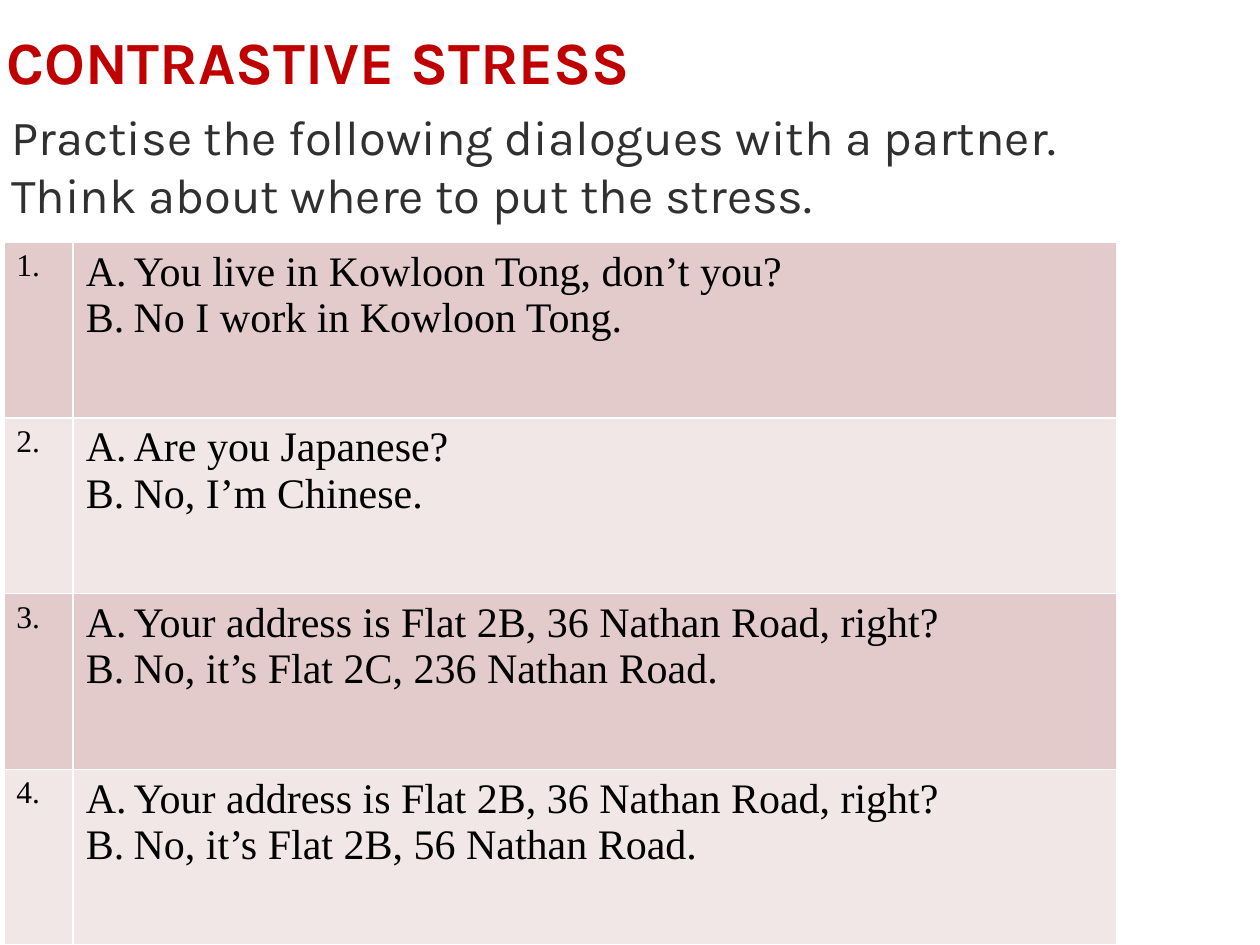
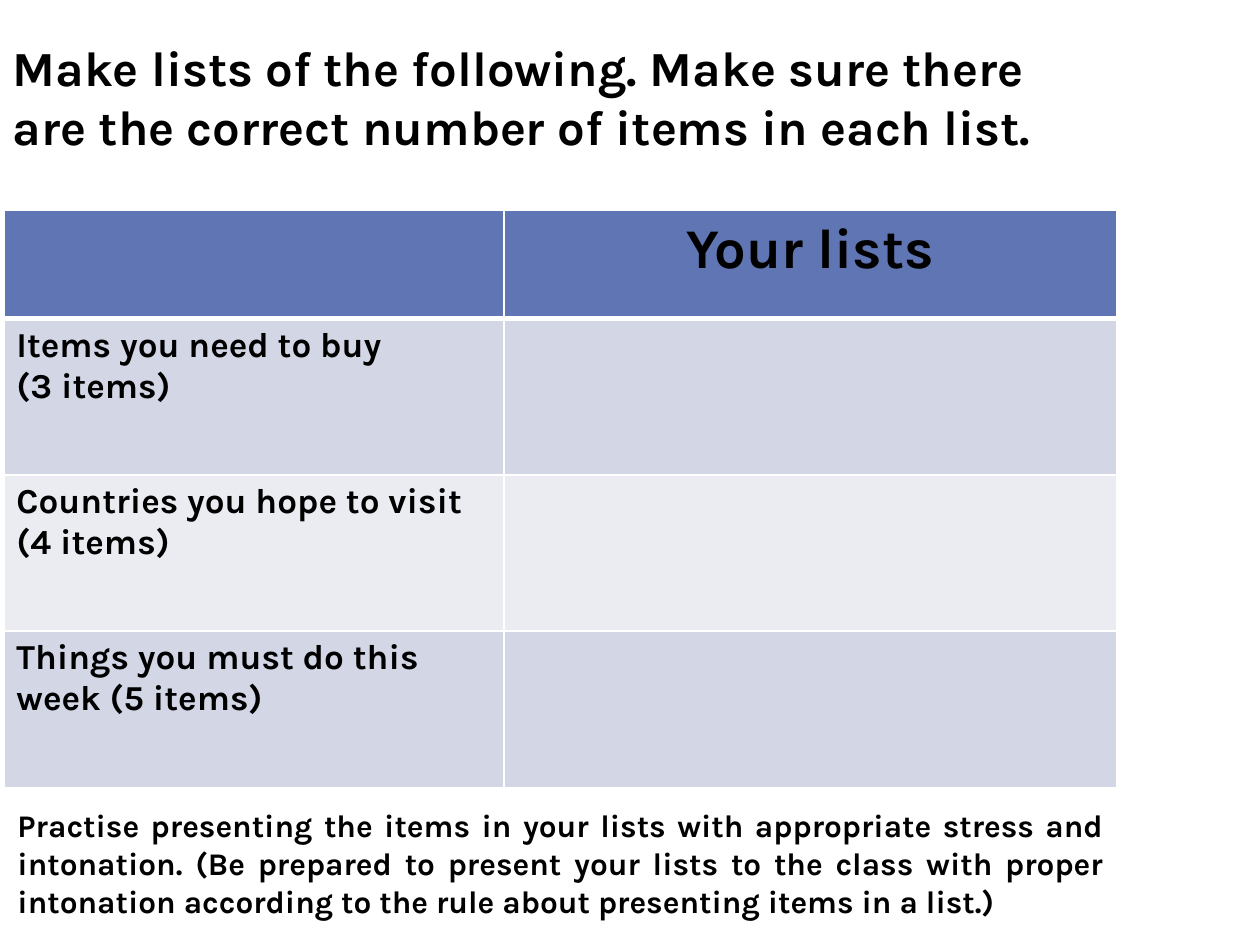
import pptx
import pptx.util
import pptx.dml.color
import pptx.enum.text
import pptx.oxml.ns
from lxml import etree

Pt = pptx.util.Pt
Align = pptx.enum.text.PP_ALIGN
Anchor = pptx.enum.text.MSO_ANCHOR

SANS, SERIF = "Karla", "Times New Roman"
RED, GREY, BLACK, WHITE = "C00000", "303030", "000000", "FFFFFF"
ROSE_BANDS = ("E3CBCB", "F1E7E7")
BLUE, BLUE_BANDS = "6076B4", ("D2D6E5", "EAECF2")

DIALOGUES = [
    ("You live in Kowloon Tong, don’t you?", "No I work in Kowloon Tong."),
    ("Are you Japanese?", "No, I’m Chinese."),
    ("Your address is Flat 2B, 36 Nathan Road, right?", "No, it’s Flat 2C, 236 Nathan Road."),
    ("Your address is Flat 2B, 36 Nathan Road, right?", "No, it’s Flat 2B, 56 Nathan Road."),
]
LIST_TOPICS = [
    ("Items you need to buy", "(3 items)"),
    ("Countries you hope to visit (4 items)",),
    ("Things you must do this week (5 items)",),
]


def color(hex_string):
    return pptx.dml.color.RGBColor.from_string(hex_string)


def add_xml(parent, tag, **attributes):
    return etree.SubElement(parent, pptx.oxml.ns.qn(tag), attributes)


def write(frame, lines, size, font=SANS, ink=BLACK, bold=False, align=Align.LEFT, lettered=False):
    frame.text = "\n".join(lines)
    for paragraph in frame.paragraphs:
        paragraph.alignment = align
        paragraph.space_before = Pt(0)
        props = paragraph._p.get_or_add_pPr()
        indent = Pt(27.36) if lettered else 0
        props.set("marL", str(indent))
        props.set("indent", str(-indent))
        if lettered:
            add_xml(props, "a:buFont", typeface="+mj-lt")
            add_xml(props, "a:buAutoNum", type="alphaUcPeriod")
        else:
            add_xml(props, "a:buNone")
        paragraph.font.name = font
        paragraph.font.size = Pt(size)
        paragraph.font.bold = bold
        paragraph.font.color.rgb = color(ink)


def place_text(shape, box, lines, size, anchor=Anchor.TOP, **style):
    shape.left, shape.top, shape.width, shape.height = map(Pt, box)
    frame = shape.text_frame
    frame.word_wrap = True
    frame.auto_size = pptx.enum.text.MSO_AUTO_SIZE.NONE
    frame.vertical_anchor = anchor
    write(frame, lines, size, **style)
    return frame


def paint_cell(cell, fill, top=1, bottom=1):
    props = cell._tc.get_or_add_tcPr()
    for tag, width in (("a:lnL", 1), ("a:lnR", 1), ("a:lnT", top), ("a:lnB", bottom)):
        line = add_xml(props, tag, w=str(Pt(width)))
        add_xml(add_xml(line, "a:solidFill"), "a:srgbClr", val=WHITE)
    cell.fill.solid()
    cell.fill.fore_color.rgb = color(fill)


def add_grid(slide, box, first_column, row_heights):
    left, top, width, height = box
    grid = slide.shapes.add_table(len(row_heights), 2, *map(Pt, box)).table
    grid.first_row = grid.horz_banding = False
    grid.columns[0].width = Pt(first_column)
    grid.columns[1].width = Pt(width - first_column)
    for row, row_height in zip(grid.rows, row_heights):
        row.height = Pt(row_height)
    return grid


def dialogue_table(slide, box):
    count = len(DIALOGUES)
    grid = add_grid(slide, box, 39.6, [box[3] / count] * count)
    for index, dialogue in enumerate(DIALOGUES):
        number, exchange = grid.cell(index, 0), grid.cell(index, 1)
        for cell in (number, exchange):
            paint_cell(cell, ROSE_BANDS[index % 2])
        write(number.text_frame, [f"{index + 1}."], 18, SERIF)
        write(exchange.text_frame, dialogue, 24, SERIF, lettered=True)


def lists_table(slide, box):
    header_height = 61.9
    topic_height = (box[3] - header_height) / len(LIST_TOPICS)
    grid = add_grid(slide, box, 285.8, [header_height] + [topic_height] * len(LIST_TOPICS))
    for column in range(2):
        paint_cell(grid.cell(0, column), BLUE, bottom=3)
    write(grid.cell(0, 1).text_frame, ["Your lists"], 32, bold=True, align=Align.CENTER)
    for index, topic in enumerate(LIST_TOPICS):
        for column in range(2):
            paint_cell(grid.cell(index + 1, column), BLUE_BANDS[index % 2], top=1 if index else 3)
        write(grid.cell(index + 1, 0).text_frame, topic, 20, bold=True)


def stress_slide(deck):
    slide = deck.slides.add_slide(deck.slide_layouts[1])
    heading = place_text(slide.shapes.title, (0, 12.2, 588, 43.2), ["CONTRASTIVE STRESS"], 34.2,
                         Anchor.BOTTOM, ink=RED, bold=True)
    heading.margin_left = heading.margin_right = Pt(3.6)
    heading.margin_top = heading.margin_bottom = 0
    place_text(slide.placeholders[1], (-0.7, 57, 633.6, 81.4),
               ["Practise the following dialogues with a partner. Think about where to put the stress."],
               28, ink=GREY)
    dialogue_table(slide, (2.2, 138.5, 635.8, 401.5))


def lists_slide(deck):
    slide = deck.slides.add_slide(deck.slide_layouts[5])
    lists_table(slide, (2.2, 120.2, 635.8, 329.8))
    place_text(slide.shapes.title, (0, 18, 612, 75),
               ["Make lists of the following. Make sure there are the correct number of items in each list."],
               28, bold=True)
    practice_box = (2.9, 457.2, 635, 72.7)
    place_text(slide.shapes.add_textbox(*map(Pt, practice_box)), practice_box,
               ["Practise presenting the items in your lists with appropriate stress and intonation. "
                "(Be prepared to present your lists to the class with proper intonation according to "
                "the rule about presenting items in a list.)"],
               18, bold=True, align=Align.JUSTIFY)


def main():
    deck = pptx.Presentation()
    deck.slide_width, deck.slide_height = Pt(720), Pt(540)
    stress_slide(deck)
    lists_slide(deck)
    deck.save("out.pptx")


if __name__ == "__main__":
    main()
